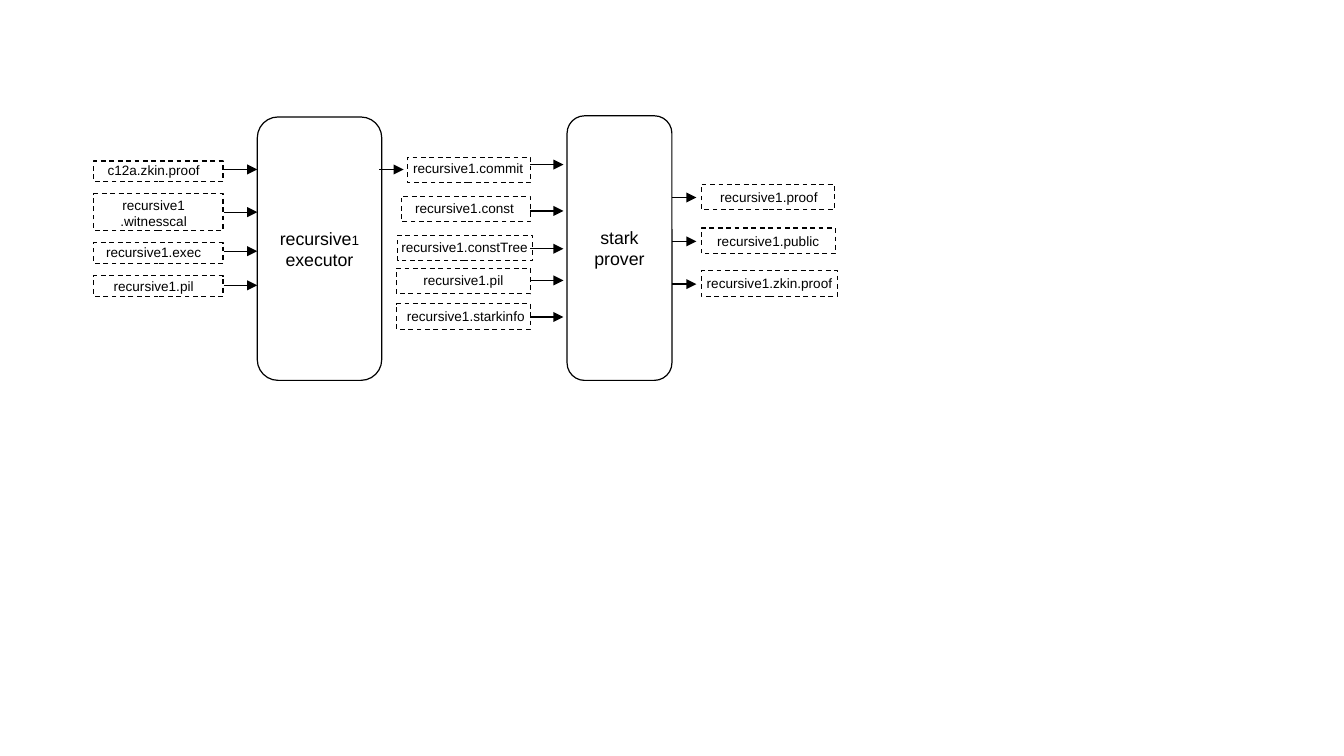
from dataclasses import dataclass

from lxml import etree
from pptx import Presentation
from pptx.dml.color import RGBColor
from pptx.enum.dml import MSO_LINE
from pptx.enum.shapes import MSO_CONNECTOR, MSO_SHAPE
from pptx.enum.text import MSO_ANCHOR, PP_ALIGN
from pptx.oxml.ns import qn
from pptx.util import Inches, Pt

RECTANGLE = MSO_SHAPE.RECTANGLE
ROUNDED = MSO_SHAPE.ROUNDED_RECTANGLE
STRAIGHT = MSO_CONNECTOR.STRAIGHT
DASH = MSO_LINE.DASH
MIDDLE = MSO_ANCHOR.MIDDLE
CENTER = PP_ALIGN.CENTER

COLORS = {"ink": "000000", "paper": "FFFFFF"}
FONT = "Arial"
LINE_WIDTH = Pt(0.71)
LABEL_SIZE = 8
MODULE_SIZE = 10.5
LABEL_HEIGHT = 0.35


@dataclass
class Artifact:
    """A dashed file box, its label and its arrow, relative to a column."""
    lines: tuple
    frame: tuple      # left, top, width, height
    label: tuple      # left, top, width
    arrow_y: float


INPUTS = [
    Artifact(("c12a.zkin.proof",), (0, 0.12, 1.06, 0.17), (-0.1, 0.02, 1.18), 0.19),
    Artifact(("recursive1", ".witnesscal"), (0, 0.39, 1.06, 0.3), (-0.1, 0.37, 1.18), 0.54),
    Artifact(("recursive1.exec",), (0, 0.79, 1.06, 0.17), (-0.1, 0.69, 1.18), 0.86),
    Artifact(("recursive1.pil",), (0, 1.06, 1.06, 0.17), (-0.1, 0.97, 1.18), 1.14),
]
PROVER_INPUTS = [
    Artifact(("recursive1.commit",), (0.09, 0.09, 1.01, 0.21), (-0.09, 0, 1.36), 0.15),
    Artifact(("recursive1.const",), (0.04, 0.41, 1.06, 0.21), (0, 0.33, 1.12), 0.53),
    Artifact(("recursive1.constTree",), (0.01, 0.73, 1.11, 0.21), (-0.06, 0.65, 1.24), 0.84),
    Artifact(("recursive1.pil",), (0, 1, 1.1, 0.21), (0.12, 0.92, 0.86), 1.1),
    Artifact(("recursive1.starkinfo",), (0, 1.29, 1.1, 0.21), (-0.09, 1.22, 1.32), 1.4),
]
OUTPUTS = [
    Artifact(("recursive1.proof",), (0, 0.31, 1.09, 0.21), (0.03, 0.24, 1.05), 0.42),
    Artifact(("recursive1.public",), (0, 0.67, 1.1, 0.21), (-0.08, 0.6, 1.26), 0.78),
    Artifact(("recursive1.zkin.proof",), (0, 1.02, 1.12, 0.21), (-0.16, 0.95, 1.44), 1.13),
]


def color(name):
    return RGBColor.from_string(COLORS[name])


def style_line(line):
    line.color.rgb = color("ink")
    line.width = LINE_WIDTH


def write_lines(frame, lines):
    """Each line is a list of (text, size) runs."""
    frame.vertical_anchor = MIDDLE
    for index, runs in enumerate(lines):
        para = frame.paragraphs[0] if index == 0 else frame.add_paragraph()
        para.alignment = CENTER
        for text, size in runs:
            span = para.add_run()
            span.text = text
            span.font.name = FONT
            span.font.size = Pt(size)
            span.font.color.rgb = color("ink")


def add_module(page, box, lines):
    module = page.shapes.add_shape(ROUNDED, *map(Inches, box))
    module.shadow.inherit = False
    module.fill.solid()
    module.fill.fore_color.rgb = color("paper")
    style_line(module.line)
    module.text_frame.word_wrap = True
    write_lines(module.text_frame, lines)


def add_arrow(page, start, end, y):
    arrow = page.shapes.add_connector(
        STRAIGHT, Inches(start), Inches(y), Inches(end), Inches(y))
    style_line(arrow.line)
    etree.SubElement(arrow.line._get_or_add_ln(), qn("a:tailEnd"), type="triangle")
    etree.SubElement(arrow._element.spPr, qn("a:effectLst"))


def add_column(page, origin, arrow_span, artifacts):
    """Places artifacts from origin; arrow_span is relative to its left."""
    left, top = origin
    start, end = arrow_span
    for artifact in artifacts:
        dx, dy, width, height = artifact.frame
        frame = page.shapes.add_shape(
            RECTANGLE, Inches(left + dx), Inches(top + dy), Inches(width), Inches(height))
        frame.shadow.inherit = False
        frame.fill.background()
        style_line(frame.line)
        frame.line.dash_style = DASH

        dx, dy, width = artifact.label
        label = page.shapes.add_textbox(
            Inches(left + dx), Inches(top + dy), Inches(width), Inches(LABEL_HEIGHT))
        label.text_frame.word_wrap = False
        write_lines(label.text_frame, [[(text, LABEL_SIZE)] for text in artifact.lines])

        add_arrow(page, left + start, left + end, top + artifact.arrow_y)


def main():
    deck = Presentation()
    deck.slide_width, deck.slide_height = Inches(11.02), Inches(6.2)
    page = deck.slides.add_slide(deck.slide_layouts[6])

    add_module(page, (2.11, 0.96, 1.02, 2.16),
               [[("recursive", MODULE_SIZE), ("1", LABEL_SIZE)], [("executor", MODULE_SIZE)]])
    add_module(page, (4.65, 0.95, 0.86, 2.17),
               [[("stark", MODULE_SIZE)], [("prover", MODULE_SIZE)]])

    add_column(page, (0.77, 1.2), (1.07, 1.34), INPUTS)
    add_arrow(page, 3.11, 3.31, 1.39)
    add_column(page, (3.25, 1.2), (1.1, 1.37), PROVER_INPUTS)
    add_column(page, (5.75, 1.2), (-0.24, -0.04), OUTPUTS)

    deck.save("out.pptx")


if __name__ == "__main__":
    main()
